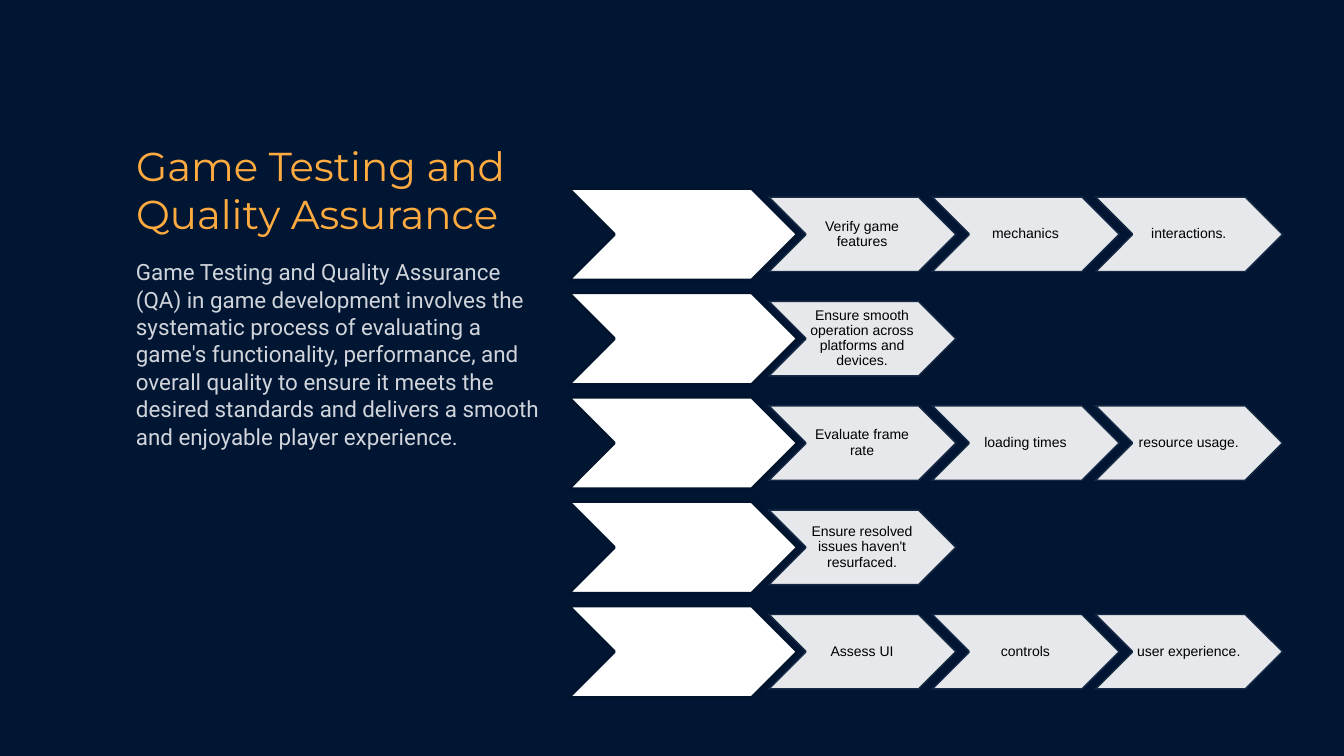
from lxml.etree import SubElement
from pptx import Presentation
from pptx.dml.color import RGBColor
from pptx.enum.shapes import MSO_SHAPE
from pptx.enum.text import MSO_ANCHOR, PP_ALIGN
from pptx.oxml.ns import qn
from pptx.util import Inches, Pt

NAVY = "001633"
WHITE = "FFFFFF"
TITLE = "Game Testing and Quality Assurance"
SUMMARY = (
    "Game Testing and Quality Assurance (QA) in game development involves the "
    "systematic process of evaluating a game's functionality, performance, and "
    "overall quality to ensure it meets the desired standards and delivers a "
    "smooth and enjoyable player experience."
)
TEST_ROWS = [
    ["Verify game features", "mechanics", "interactions."],
    ["Ensure smooth operation across platforms and devices."],
    ["Evaluate frame rate", "loading times", "resource usage."],
    ["Ensure resolved issues haven't resurfaced."],
    ["Assess UI", "controls", "user experience."],
]


def paint(target, color, alpha=None):
    target.solid()
    target.fore_color.rgb = RGBColor.from_string(color)
    if alpha:
        for node in target._xPr.iter(qn("a:srgbClr")):
            if node.find(qn("a:alpha")) is None:
                SubElement(node, qn("a:alpha")).set("val", str(alpha * 1000))


def write(frame, text, font, size, color, inset, anchor, align, spacing=1.0):
    frame.word_wrap = True
    frame.vertical_anchor = anchor
    frame.margin_left = frame.margin_right = Inches(inset)
    frame.margin_top = frame.margin_bottom = Inches(inset)
    para = frame.paragraphs[0]
    para.text = text
    para.alignment = align
    para.line_spacing = spacing
    para.font.name = font
    para.font.size = Pt(size)
    para.font.color.rgb = RGBColor.from_string(color)


def add_chevron(page, left, top, width, height, line_color, alpha=None):
    chevron = page.shapes.add_shape(
        MSO_SHAPE.CHEVRON, Inches(left), Inches(top), Inches(width), Inches(height)
    )
    chevron.shadow.inherit = False
    paint(chevron.fill, WHITE, alpha)
    chevron.line.width = Pt(2)
    paint(chevron.line.fill, line_color, alpha)
    return chevron


def add_introduction(page, left, top, width, height):
    title_height = 0.316 * height
    title = page.shapes.title
    title.left, title.top = Inches(left), Inches(top)
    title.width, title.height = Inches(width), Inches(title_height)
    write(title.text_frame, TITLE, "Montserrat", 28.8, "FFAB40", 0.1,
          MSO_ANCHOR.BOTTOM, PP_ALIGN.LEFT)
    summary = page.shapes.add_textbox(
        Inches(left), Inches(top + title_height),
        Inches(width), Inches(height - title_height),
    )
    write(summary.text_frame, SUMMARY, "Roboto", 16, "D1D5DB", 0.1,
          MSO_ANCHOR.TOP, PP_ALIGN.LEFT, 1.02)


def add_test_rows(page, left, top, width, height):
    lead_width, lead_height = 0.32 * width, 0.18 * height
    step_width, step_height = 0.265 * width, 0.149 * height
    row_pitch = (height - lead_height) / (len(TEST_ROWS) - 1)
    first_step = left + 0.278 * width
    step_pitch = (left + width - step_width - first_step) / 2
    for row, steps in enumerate(TEST_ROWS):
        row_top = top + row * row_pitch
        add_chevron(page, left, row_top, lead_width, lead_height, "00142E")
        step_top = row_top + (lead_height - step_height) / 2
        for column, text in enumerate(steps):
            step = add_chevron(page, first_step + column * step_pitch, step_top,
                               step_width, step_height, NAVY, 90)
            write(step.text_frame, text, "Arial", 10, "000000", 0.01,
                  MSO_ANCHOR.MIDDLE, PP_ALIGN.CENTER, 0.9)


def main():
    deck = Presentation()
    deck.slide_width, deck.slide_height = Inches(13.33), Inches(7.5)
    page = deck.slides.add_slide(deck.slide_layouts[5])
    paint(page.background.fill, NAVY)
    add_introduction(page, 1.25, 0.67, 4.22, 5.66)
    add_test_rows(page, 5.64, 1.87, 7.09, 5.05)
    deck.save("out.pptx")


if __name__ == "__main__":
    main()
